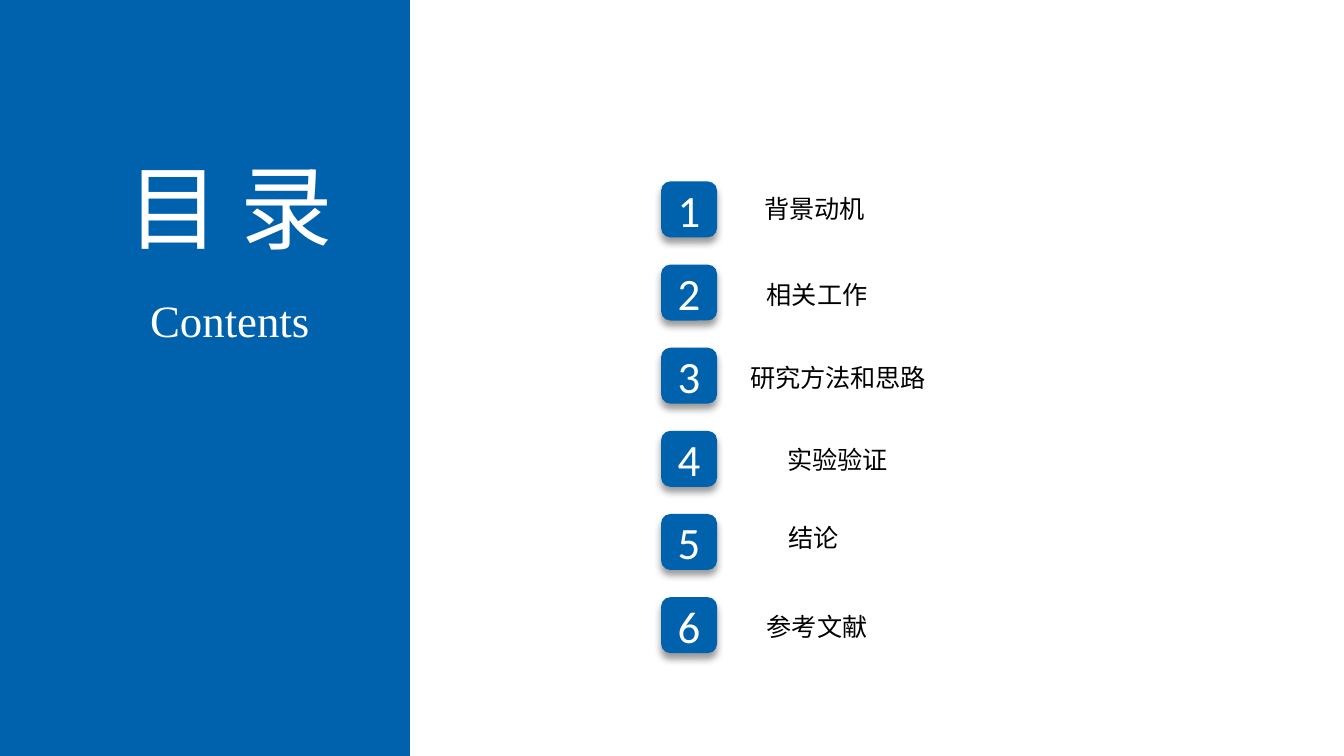
from lxml import etree
from pptx import Presentation
from pptx.dml.color import RGBColor
from pptx.enum.shapes import MSO_SHAPE
from pptx.enum.text import MSO_ANCHOR, MSO_AUTO_SIZE, PP_ALIGN
from pptx.oxml.ns import qn
from pptx.util import Pt

RECT, ROUND = MSO_SHAPE.RECTANGLE, MSO_SHAPE.ROUNDED_RECTANGLE
CENTER, MIDDLE = PP_ALIGN.CENTER, MSO_ANCHOR.MIDDLE
FIT = MSO_AUTO_SIZE.SHAPE_TO_FIT_TEXT

THEME = {
    "blue": RGBColor(0x00, 0x62, 0xAC),
    "white": RGBColor(0xFF, 0xFF, 0xFF),
    "black": RGBColor(0x00, 0x00, 0x00),
    "title": ("Noto Sans CJK SC", 49.5),
    "sub": ("Times New Roman", 24),
    "badge": ("Calibri", 24),
    "item": ("Noto Sans CJK SC", 13.5),
}

WIDE, HIGH = 720, 405
PANEL = 219.6
HEADS = [
    ("目 录", "title", (53.3, 77, 139.7, 67)),
    ("Contents", "sub", (72.7, 153.4, 100.8, 36)),
]
ITEMS = [
    ("背景动机", 401.8, 100.1, 69.1),
    ("相关工作", 403.2, 146.2, 69.1),
    ("研究方法和思路", 393.8, 190.8, 110.2),
    ("实验验证", 414, 234.7, 69.1),
    ("结论", 414.7, 276.5, 41.8),
    ("参考文献", 403.2, 324, 69.1),
]
LEFT, TOP, SIDE, STEP = 354.2, 97.2, 30, 44.55
LINE = 23.8


def write(frame, text, style, color):
    para = frame.paragraphs[0]
    para.text = text
    para.alignment = CENTER
    font = para.font
    font.name, size = THEME[style]
    font.size = Pt(size)
    font.color.rgb = THEME[color]
    props = para._p.pPr.find(qn("a:defRPr"))
    etree.SubElement(props, qn("a:ea"), typeface=font.name)


def label(slide, text, style, color, box):
    frame = slide.shapes.add_textbox(*map(Pt, box)).text_frame
    frame.word_wrap = False
    frame.auto_size = FIT
    write(frame, text, style, color)


def block(slide, kind, box):
    shape = slide.shapes.add_shape(kind, *map(Pt, box))
    shape.shadow.inherit = False
    shape.fill.solid()
    shape.fill.fore_color.rgb = THEME["blue"]
    shape.line.fill.background()
    return shape


def shade(shape):
    effects = shape._element.spPr.find(qn("a:effectLst"))
    outer = etree.SubElement(
        effects, qn("a:outerShdw"), blurRad=str(Pt(4)), dist=str(Pt(3)),
        dir="5400000", algn="t", rotWithShape="0")
    tint = etree.SubElement(outer, qn("a:srgbClr"), val=str(THEME["black"]))
    etree.SubElement(tint, qn("a:alpha"), val="40000")


def main():
    deck = Presentation()
    deck.slide_width, deck.slide_height = Pt(WIDE), Pt(HIGH)
    slide = deck.slides.add_slide(deck.slide_layouts[6])

    block(slide, RECT, (0, 0, PANEL, HIGH))
    for text, style, box in HEADS:
        label(slide, text, style, "white", box)

    for row, (text, left, top, width) in enumerate(ITEMS):
        badge = block(slide, ROUND, (LEFT, TOP + row * STEP, SIDE, SIDE))
        shade(badge)
        badge.text_frame.vertical_anchor = MIDDLE
        write(badge.text_frame, str(row + 1), "badge", "white")
        label(slide, text, "item", "black", (left, top, width, LINE))

    deck.save("out.pptx")


if __name__ == "__main__":
    main()
